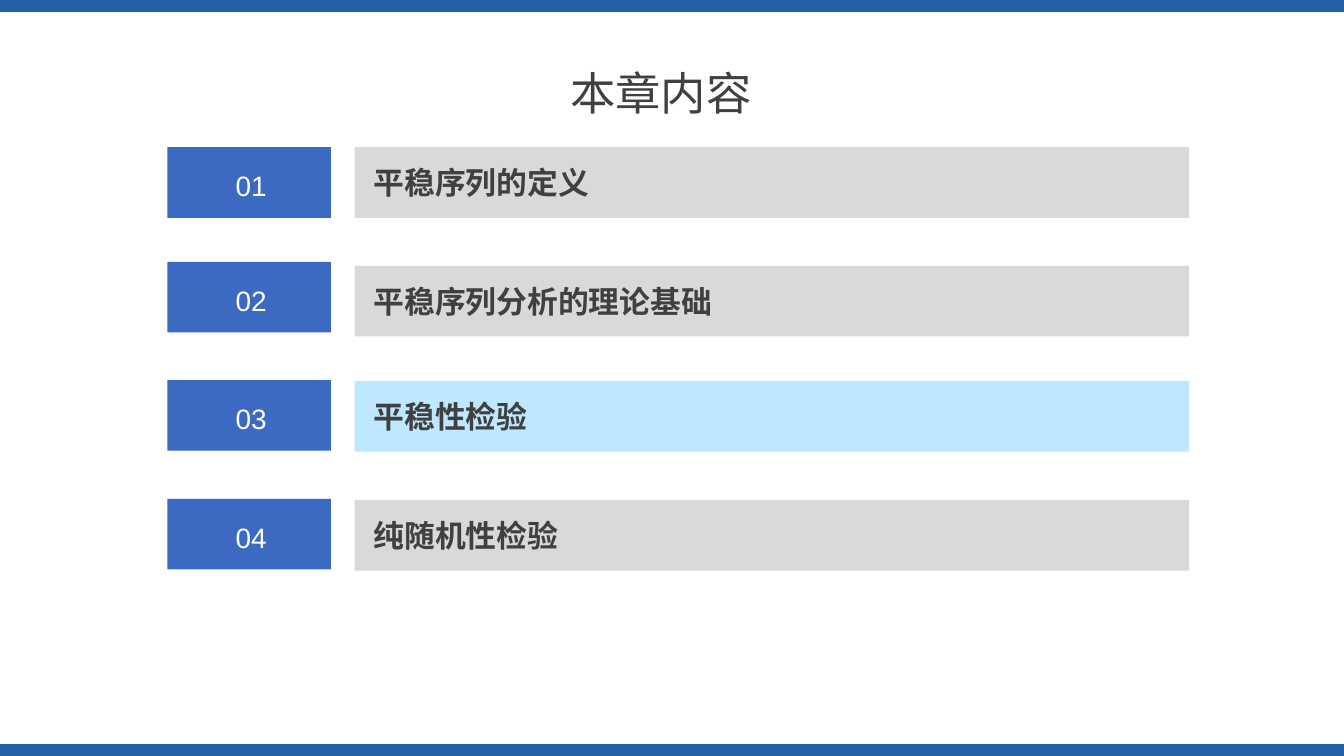
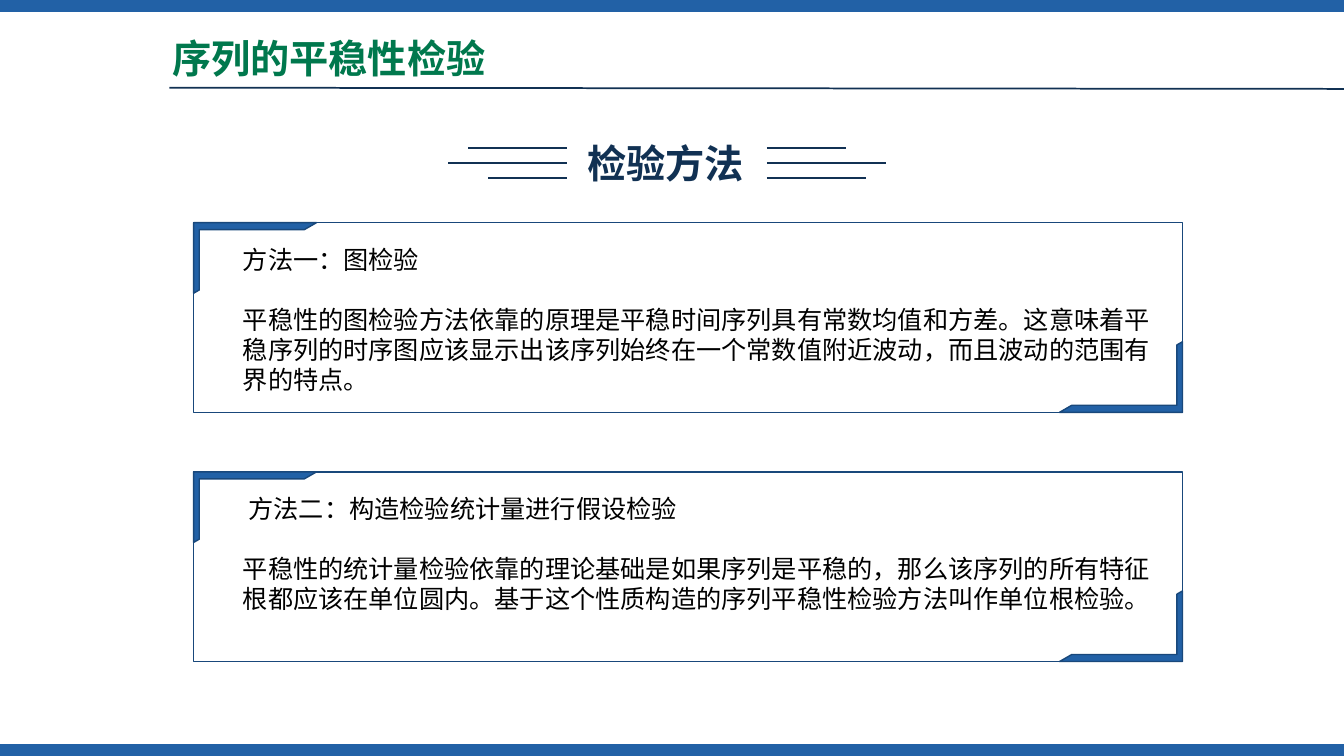
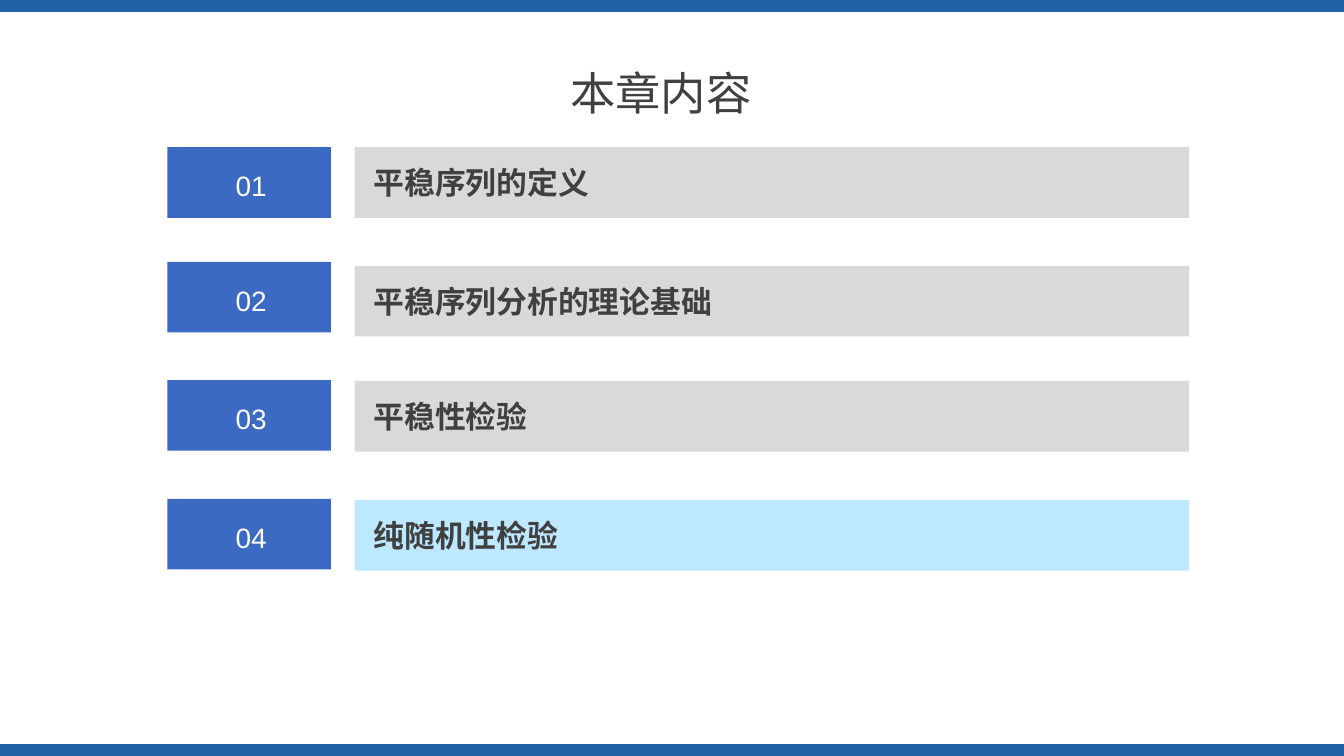
from lxml import etree
from pptx import Presentation
from pptx.dml.color import RGBColor
from pptx.enum.shapes import MSO_CONNECTOR, MSO_SHAPE
from pptx.enum.text import MSO_ANCHOR
from pptx.oxml.ns import qn
from pptx.util import Cm, Pt

RECTANGLE, HALF_FRAME = MSO_SHAPE.RECTANGLE, MSO_SHAPE.HALF_FRAME
STRAIGHT = MSO_CONNECTOR.STRAIGHT
TOP, MIDDLE = MSO_ANCHOR.TOP, MSO_ANCHOR.MIDDLE
CJK, LATIN = "Noto Sans CJK SC", "Arial"
COLORS = {
    "band": "2261A6", "tile": "3C69C2", "bar": "D9D9D9", "current": "BEE8FF",
    "grey": "404040", "green": "00784D", "navy": "113153", "edge": "19487B",
    "white": "FFFFFF", "black": "000000",
}
COLORS = {name: RGBColor.from_string(code) for name, code in COLORS.items()}
WIDTH, HEIGHT, BAND = 33.87, 19.05, 0.3


def add_box(shapes, kind, left, top, width, height, fill, edge=None):
    box = shapes.add_shape(kind, Cm(left), Cm(top), Cm(width), Cm(height))
    box.shadow.inherit = False
    box.fill.solid()
    box.fill.fore_color.rgb = COLORS[fill]
    if edge:
        box.line.color.rgb = COLORS[edge]
        box.line.width = Pt(1)
    else:
        box.line.fill.background()
    return box


def add_text(shapes, left, top, width, height, paragraphs, size, color,
             bold=False, font=CJK, anchor=MIDDLE, wrap=True):
    frame = shapes.add_textbox(Cm(left), Cm(top), Cm(width), Cm(height)).text_frame
    frame.word_wrap = wrap
    frame.vertical_anchor = anchor
    for index, words in enumerate(paragraphs):
        paragraph = frame.add_paragraph() if index else frame.paragraphs[0]
        run = paragraph.add_run()
        run.text = words
        run.font.size = Pt(size)
        run.font.bold = bold
        run.font.color.rgb = COLORS[color]
        run.font.name = font
        etree.SubElement(run.font._element, qn("a:ea")).set("typeface", font)
    return frame


deck = Presentation()
deck.slide_width, deck.slide_height = Cm(WIDTH), Cm(HEIGHT)
blank = deck.slide_layouts[6]
for placeholder in list(blank.placeholders):
    blank.shapes.element.remove(placeholder.element)
agenda_stationarity, methods, agenda_randomness = [
    deck.slides.add_slide(blank) for _ in range(3)]

for band_top in (HEIGHT - BAND, 0):
    band = add_box(methods.shapes, RECTANGLE, 0, band_top, WIDTH, BAND, "band")
    blank.shapes.element.append(band.element)

TOPICS = [
    ("平稳序列的定义", 3.71, 3.71),
    ("平稳序列分析的理论基础", 6.6, 6.7),
    ("平稳性检验", 9.58, 9.6),
    ("纯随机性检验", 12.57, 12.6),
]
for agenda, current in ((agenda_stationarity, 3), (agenda_randomness, 4)):
    shapes = agenda.shapes
    add_text(shapes, 14.12, 1.42, 5.64, 1.8, ["本章内容"], 32.4, "grey")
    for number, (topic, tile_top, bar_top) in enumerate(TOPICS, 1):
        add_box(shapes, RECTANGLE, 4.22, tile_top, 4.12, 1.78, "tile")
        add_box(shapes, RECTANGLE, 8.94, bar_top, 21.03, 1.78,
                "current" if number == current else "bar")
        add_text(shapes, 5.69, tile_top + 0.41, 1.3, 1.09, [f"{number:02}"], 20,
                 "white", font=LATIN, anchor=TOP, wrap=False)
        add_text(shapes, 9.17, bar_top + 0.42, 14.25, 0.94, [topic], 22, "grey", bold=True)

shapes = methods.shapes
add_text(shapes, 4.09, 0.74, 11.84, 1.45, ["序列的平稳性检验"], 28, "green", bold=True)
add_text(shapes, 14.55, 3.38, 4.78, 1.45, ["检验方法"], 28, "navy", bold=True)

rules = [(4.27, 2.21, WIDTH, 2.24, 1.25)]
for row, (left_length, right_length) in enumerate([(2.5, 2), (3, 3), (2, 2.5)]):
    y = 3.73 + 0.38 * row
    rules.append((14.3 - left_length, y, 14.3, y, 1))
    rules.append((19.33, y, 19.33 + right_length, y, 1))
for x1, y1, x2, y2, weight in rules:
    rule = shapes.add_connector(STRAIGHT, Cm(x1), Cm(y1), Cm(x2), Cm(y2))
    rule.line.color.rgb = COLORS["navy"]
    rule.line.width = Pt(weight)
    etree.SubElement(rule.element.spPr, qn("a:effectLst"))

CARD_LEFT, CARD_WIDTH, CARD_HEIGHT = 4.88, 24.92, 4.78
CORNER_WIDTH, CORNER_HEIGHT = 3.1, 1.78
CARDS = [
    (5.61, 4.09, "方法一：图检验",
     "平稳性的图检验方法依靠的原理是平稳时间序列具有常数均值和方差。这意味着平稳序列的时序图"
     "应该显示出该序列始终在一个常数值附近波动，而且波动的范围有界的特点。"),
    (11.89, 3.33, " 方法二：构造检验统计量进行假设检验",
     "平稳性的统计量检验依靠的理论基础是如果序列是平稳的，那么该序列的所有特征根都应该在单位圆内。"
     "基于这个性质构造的序列平稳性检验方法叫作单位根检验。"),
]
for card_top, text_height, method, explanation in CARDS:
    card = shapes.add_group_shape().shapes
    add_box(card, RECTANGLE, CARD_LEFT, card_top, CARD_WIDTH, CARD_HEIGHT, "white", "edge")
    for side, rotation in ((0, 0), (1, 180)):
        corner = add_box(card, HALF_FRAME,
                         CARD_LEFT + side * (CARD_WIDTH - CORNER_WIDTH),
                         card_top + side * (CARD_HEIGHT - CORNER_HEIGHT),
                         CORNER_WIDTH, CORNER_HEIGHT, "band", "edge")
        corner.adjustments[0], corner.adjustments[1] = 0.1, 0.08
        corner.rotation = rotation
    body = add_text(card, 5.87, card_top + 0.42, 23.57, text_height,
                    [method, explanation], 18, "black", anchor=TOP)
    for paragraph in body.paragraphs:
        paragraph.line_spacing = Pt(21.5)
    body.paragraphs[1].space_before = Pt(21.5)

deck.save("out.pptx")
